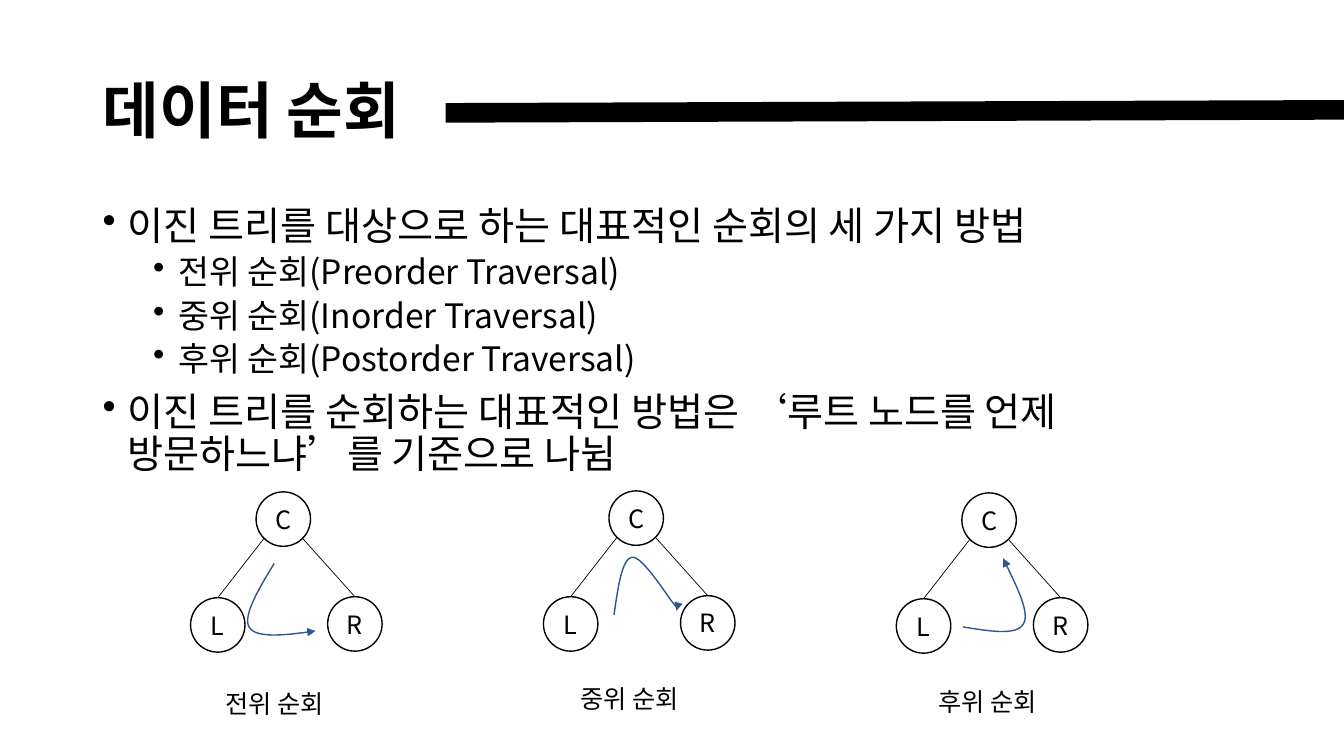
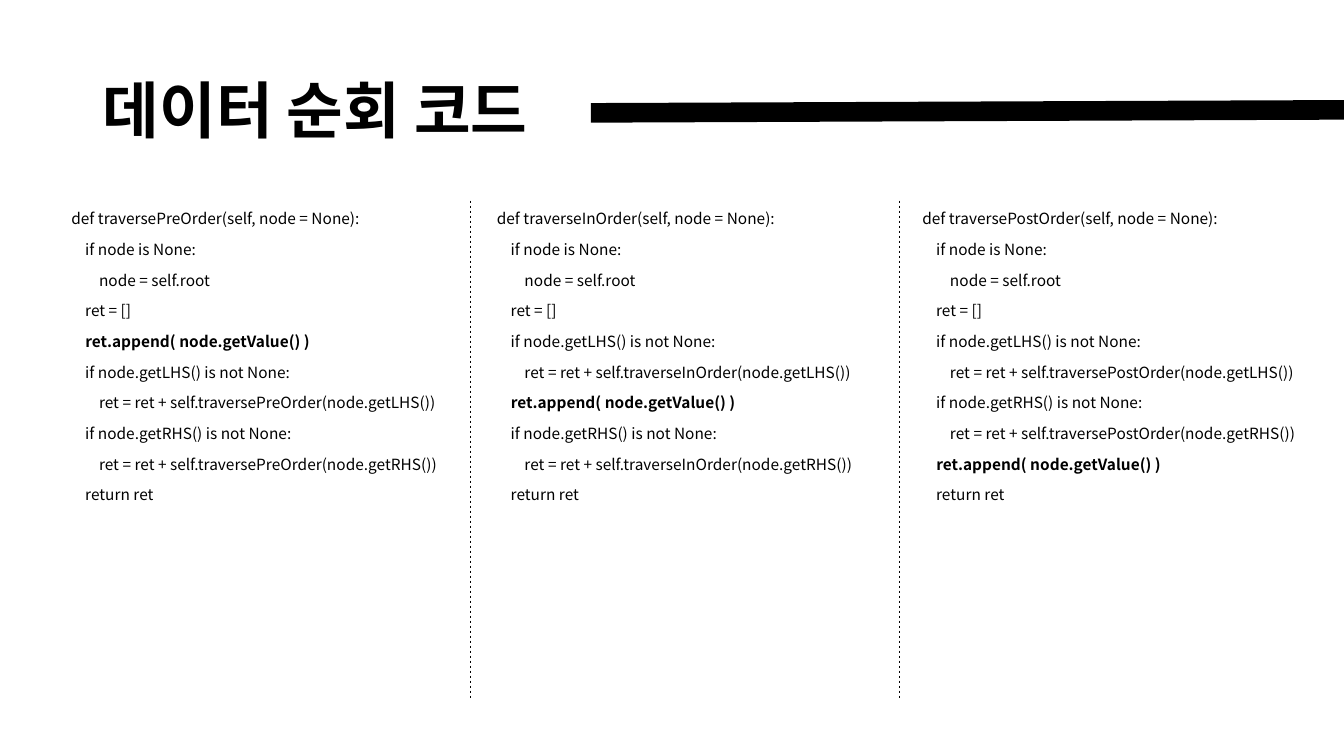
import lxml.etree
import pptx
import pptx.dml.color
import pptx.enum.dml
import pptx.enum.shapes
import pptx.enum.text
import pptx.oxml.ns
import pptx.util

PX = 9144
WIDTH, HEIGHT = 1333, 750
FONT = "Noto Sans CJK KR"
COLORS = {
    name: pptx.dml.color.RGBColor.from_string(value)
    for name, value in {"ink": "000000", "arrow": "325491"}.items()
}
qn = pptx.oxml.ns.qn


def add_run(paragraph, text, size, bold=False):
    run = paragraph.add_run()
    run.text = text
    run.font.size = pptx.util.Pt(size)
    run.font.bold = bold
    run.font.name = FONT
    run.font.color.rgb = COLORS["ink"]
    lxml.etree.SubElement(run.font._element, qn("a:ea"), typeface=FONT)


def add_line(slide, start, end, width):
    line = slide.shapes.add_connector(
        pptx.enum.shapes.MSO_CONNECTOR.STRAIGHT, *[value * PX for value in (*start, *end)]
    )
    line.line.color.rgb = COLORS["ink"]
    line.line.width = pptx.util.Pt(width)
    lxml.etree.SubElement(line._element.spPr, qn("a:effectLst"))
    return line


presentation = pptx.Presentation()
presentation.slide_width = WIDTH * PX
presentation.slide_height = HEIGHT * PX

slides = []
for title, title_width in [("데이터 순회", 350), ("데이터 순회 코드", 494)]:
    slide = presentation.slides.add_slide(presentation.slide_layouts[6])
    frame = slide.shapes.add_textbox(92 * PX, 40 * PX, title_width * PX, 145 * PX).text_frame
    frame.word_wrap = True
    frame.vertical_anchor = pptx.enum.text.MSO_ANCHOR.MIDDLE
    frame.paragraphs[0].line_spacing = 0.9
    add_run(frame.paragraphs[0], title, 44, True)
    add_line(slide, (92 + title_width, 112), (WIDTH, 109), 14)
    slides.append(slide)
overview, code = slides

bullets = [
    (0, "이진 트리를 대상으로 하는 대표적인 순회의 세 가지 방법"),
    (1, "전위 순회(Preorder Traversal)"),
    (1, "중위 순회(Inorder Traversal)"),
    (1, "후위 순회(Postorder Traversal)"),
    (0, "이진 트리를 순회하는 대표적인 방법은 ‘루트 노드를 언제 방문하느냐’를 기준으로 나뉨"),
]
frame = overview.shapes.add_textbox(92 * PX, 200 * PX, 1150 * PX, 476 * PX).text_frame
frame.word_wrap = True
for index, (level, text) in enumerate(bullets):
    paragraph = frame.add_paragraph() if index else frame.paragraphs[0]
    paragraph.level = level
    paragraph.line_spacing = 0.9
    if index:
        paragraph.space_before = pptx.util.Pt((10, 5)[level])
    properties = paragraph._element.get_or_add_pPr()
    properties.set("marL", str((25 + 50 * level) * PX))
    properties.set("indent", str(-25 * PX))
    lxml.etree.SubElement(properties, qn("a:buChar"), char="•")
    add_run(paragraph, text, (28, 24)[level])

NODE = 54
trees = [
    ((254, 488), "전위 순회", (214, 678),
     [(272, 559), (256, 585), (241, 611), (247, 622), (254, 634), (284, 630), (313, 626)]),
    ((604, 487), "중위 순회", (566, 673),
     [(609, 610), (613, 582), (617, 554), (627, 553), (637, 551), (662, 592), (669, 600),
      (677, 609), (674, 608), (671, 606)]),
    ((954, 489), "후위 순회", (921, 676),
     [(955, 622), (981, 626), (1008, 631), (1015, 619), (1022, 608), (1008, 581), (995, 554)]),
]
for (left, top), caption, caption_at, curve in trees:
    nodes = []
    for label, dx, dy in [("C", 0, 0), ("L", -65, 105), ("R", 71, 104)]:
        node = overview.shapes.add_shape(
            pptx.enum.shapes.MSO_SHAPE.OVAL,
            (left + dx) * PX, (top + dy) * PX, NODE * PX, NODE * PX,
        )
        node.shadow.inherit = False
        node.fill.background()
        node.line.color.rgb = COLORS["ink"]
        node.line.width = pptx.util.Pt(1)
        frame = node.text_frame
        frame.margin_left = frame.margin_right = frame.margin_top = frame.margin_bottom = 0
        frame.vertical_anchor = pptx.enum.text.MSO_ANCHOR.MIDDLE
        frame.paragraphs[0].alignment = pptx.enum.text.PP_ALIGN.CENTER
        add_run(frame.paragraphs[0], label, 18)
        nodes.append(node)
    center = left + NODE // 2
    for child, side in zip(nodes[1:], (-1, 1)):
        edge = add_line(overview, (center, top), (center + 19 * side, top + 46), 0.5)
        edge.begin_connect(child, 0)

    points = []
    for first in range(0, len(curve) - 1, 3):
        a, b, c, d = curve[first:first + 4]
        for step in range(1, 17):
            t = step / 16
            u = 1 - t
            points.append(tuple(
                (u**3 * a[axis] + 3 * u * u * t * b[axis] + 3 * u * t * t * c[axis] + t**3 * d[axis]) * PX
                for axis in (0, 1)
            ))
    builder = overview.shapes.build_freeform(curve[0][0] * PX, curve[0][1] * PX)
    builder.add_line_segments(points, close=False)
    arrow = builder.convert_to_shape()
    arrow.shadow.inherit = False
    arrow.fill.background()
    arrow.line.color.rgb = COLORS["arrow"]
    arrow.line.width = pptx.util.Pt(1)
    lxml.etree.SubElement(arrow._element.spPr.find(qn("a:ln")), qn("a:tailEnd"), type="triangle")

    box = overview.shapes.add_textbox(caption_at[0] * PX, caption_at[1] * PX, 130 * PX, 40 * PX)
    box.text_frame.word_wrap = False
    add_run(box.text_frame.paragraphs[0], caption, 18)

VISIT = "    ret.append( node.getValue() )"
for column, (order, visit_index) in enumerate([("Pre", 4), ("In", 6), ("Post", 8)]):
    method = f"traverse{order}Order"
    lines = [
        f"def {method}(self, node = None):",
        "    if node is None:",
        "        node = self.root",
        "    ret = []",
    ]
    for child in ("LHS", "RHS"):
        lines.append(f"    if node.get{child}() is not None:")
        lines.append(f"        ret = ret + self.{method}(node.get{child}())")
    lines.append("    return ret")
    lines.insert(visit_index, VISIT)

    frame = code.shapes.add_textbox((61 + 422 * column) * PX, 205 * PX, 406 * PX, 528 * PX).text_frame
    frame.word_wrap = True
    for index, text in enumerate(lines):
        paragraph = frame.add_paragraph() if index else frame.paragraphs[0]
        paragraph.line_spacing = 0.9
        if index:
            paragraph.space_before = pptx.util.Pt(10)
        add_run(paragraph, text, 11, text == VISIT)

for x in (467, 892):
    divider = add_line(code, (x, 199), (x, 692), 0.5)
    divider.line.dash_style = pptx.enum.dml.MSO_LINE.DASH

presentation.save("out.pptx")
